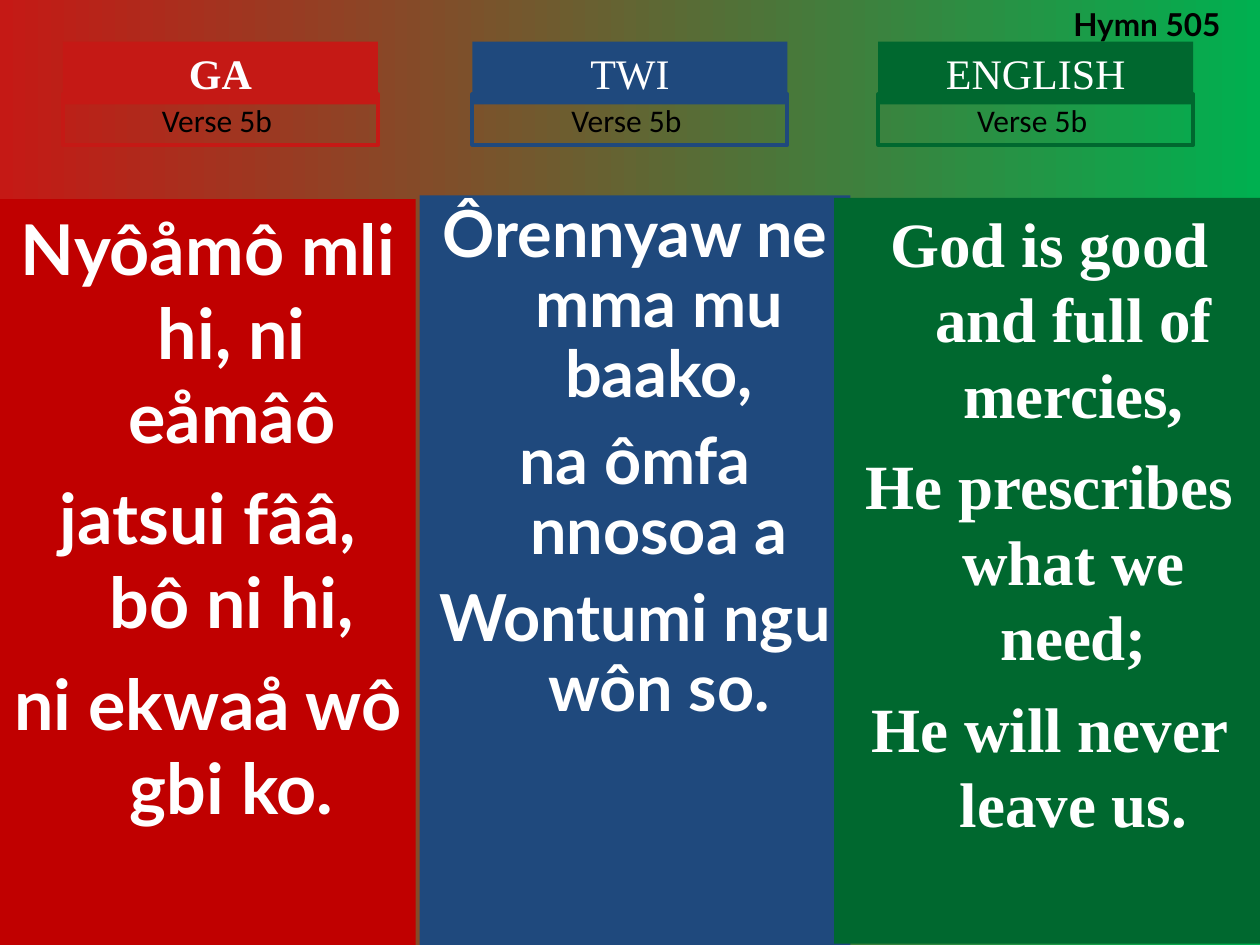
import pptx
import pptx.util
import pptx.dml.color
import pptx.enum.shapes
import pptx.enum.text

Inches, Pt = pptx.util.Inches, pptx.util.Pt
RGB = pptx.dml.color.RGBColor.from_string
CENTER = pptx.enum.text.PP_ALIGN.CENTER

COLORS = {
    "red": "C51915", "dark red": "C00000", "blue": "1F497D", "green": "00682F",
    "bright green": "00B050", "white": "FFFFFF", "black": "000000",
}


def add_box(left, top, width, height, fill=None, line=None):
    box = slide.shapes.add_shape(
        pptx.enum.shapes.MSO_SHAPE.RECTANGLE,
        Inches(left), Inches(top), Inches(width), Inches(height))
    box.shadow.inherit = False
    if fill:
        box.fill.solid()
        box.fill.fore_color.rgb = RGB(COLORS[fill])
    else:
        box.fill.background()
    if line:
        box.line.color.rgb = RGB(COLORS[line])
        box.line.width = Pt(2.25)
    else:
        box.line.fill.background()
    return box


def write(box, lines, font, size, color, bold=False, align=CENTER):
    frame = box.text_frame
    frame.word_wrap = True
    frame.vertical_anchor = pptx.enum.text.MSO_ANCHOR.TOP
    frame.text = "\n".join(lines)
    for paragraph in frame.paragraphs:
        paragraph.alignment = align
        paragraph.font.name = font
        paragraph.font.size = Pt(size)
        paragraph.font.bold = bold
        paragraph.font.color.rgb = RGB(COLORS[color])
    return frame.paragraphs


prs = pptx.Presentation()
prs.slide_width, prs.slide_height = Inches(10), Inches(7.5)
slide = prs.slides.add_slide(prs.slide_layouts[6])

backdrop = slide.background.fill
backdrop.gradient()
backdrop.gradient_angle = 0
for stop, position, color in zip(backdrop.gradient_stops, (0, 1), ("red", "bright green")):
    stop.position = position
    stop.color.rgb = RGB(COLORS[color])

verses = [
    ((0, 1.58, 3.3, 5.92), "dark red", "Lato", 40, 10, 1.0,
     ["Nyôåmô mli hi, ni eåmâô", "jatsui fââ, bô ni hi,", "ni ekwaå wô gbi ko."]),
    ((3.33, 1.55, 3.42, 5.95), "blue", "Lato", 37, 10, 0.9,
     ["Ôrennyaw ne mma mu baako,", "na ômfa nnosoa a", "Wontumi ngu wôn so."]),
    ((6.62, 1.57, 3.42, 5.92), "green", "Times New Roman", 36, 9, 1.0,
     ["God is good and full of mercies,", "He prescribes what we need;",
      "He will never leave us."]),
]
for bounds, color, font, size, gap, spacing, lines in verses:
    panel = add_box(*bounds, fill=color)
    for index, paragraph in enumerate(write(panel, lines, font, size, "white", True)):
        paragraph.line_spacing = spacing
        if index:
            paragraph.space_before = Pt(gap)
        indents = paragraph._p.get_or_add_pPr()
        indents.set("marL", str(Inches(0.38)))
        indents.set("indent", str(Inches(-0.38)))

languages = [("GA", 0.5, "red", True), ("TWI", 3.75, "blue", False),
             ("ENGLISH", 6.97, "green", False)]
for language, left, color, bold in languages:
    heading = add_box(left, 0.33, 2.5, 0.5, fill=color)
    write(heading, [language], "Times New Roman", 24, "white", bold)
    verse_label = add_box(left, 0.75, 2.5, 0.4, line=color)
    write(verse_label, ["Verse 5b "], "Calibri", 18, "black")

hymn_number = slide.shapes.add_textbox(Inches(8.42), Inches(-0.01), Inches(1.5), Inches(0.4))
write(hymn_number, ["Hymn 505"], "Lato", 18, "black", True, pptx.enum.text.PP_ALIGN.LEFT)

prs.save("out.pptx")
